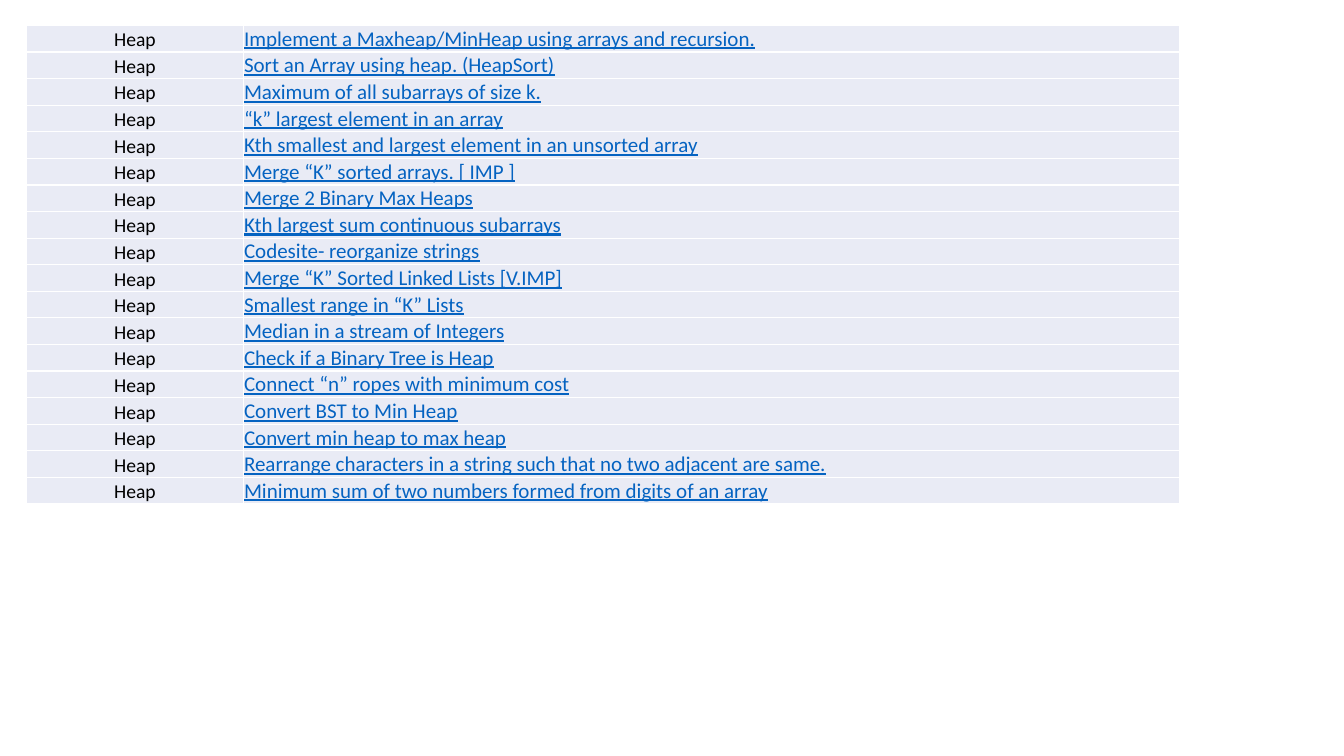
import dataclasses

import lxml.etree
import pptx
import pptx.dml.color
import pptx.enum.text
import pptx.oxml.ns
import pptx.util

Cm = pptx.util.Cm
Pt = pptx.util.Pt
RGB = pptx.dml.color.RGBColor
Align = pptx.enum.text.PP_ALIGN
qn = pptx.oxml.ns.qn


@dataclasses.dataclass(frozen=True)
class Theme:
    font: str = "Calibri"
    ink: str = "000000"
    link: str = "0563C1"
    band: str = "E9EBF5"
    rule: str = "FFFFFF"
    topic_size: int = 14
    task_size: int = 15
    rule_width: int = 1


THEME = Theme()

TOPIC = "Heap"
TASKS = [
    "Implement a Maxheap/MinHeap using arrays and recursion.",
    "Sort an Array using heap. (HeapSort)",
    "Maximum of all subarrays of size k.",
    "“k” largest element in an array",
    "Kth smallest and largest element in an unsorted array",
    "Merge “K” sorted arrays. [ IMP ]",
    "Merge 2 Binary Max Heaps",
    "Kth largest sum continuous subarrays",
    "Codesite- reorganize strings",
    "Merge “K” Sorted Linked Lists [V.IMP]",
    "Smallest range in “K” Lists",
    "Median in a stream of Integers",
    "Check if a Binary Tree is Heap",
    "Connect “n” ropes with minimum cost",
    "Convert BST to Min Heap",
    "Convert min heap to max heap",
    "Rearrange characters in a string such that no two adjacent are same.",
    "Minimum sum of two numbers formed from digits of an array",
]

# Table layout in centimetres
LEFT, TOP = 0.67, 0.64
COLS = (5.46, 23.6)
ROW = 0.67
INSET = 0.02


def add_rules(cell):
    """Draw a thin rule on each side of the cell."""
    props = cell._tc.get_or_add_tcPr()
    for side in ("lnL", "lnR", "lnT", "lnB"):
        line = lxml.etree.SubElement(
            props, qn("a:" + side), w=str(Pt(THEME.rule_width)))
        fill = lxml.etree.SubElement(line, qn("a:solidFill"))
        lxml.etree.SubElement(fill, qn("a:srgbClr"), val=THEME.rule)


def style_cell(cell):
    """Set rules, fill, insets and anchor."""
    add_rules(cell)
    cell.fill.solid()
    cell.fill.fore_color.rgb = RGB.from_string(THEME.band)
    cell.margin_left = cell.margin_right = cell.margin_top = Cm(INSET)
    cell.margin_bottom = 0
    cell.vertical_anchor = pptx.enum.text.MSO_ANCHOR.BOTTOM


def add_text(cell, text, size, color, align, under=False):
    """Write one run into the cell."""
    para = cell.text_frame.paragraphs[0]
    para.alignment = align
    run = para.add_run()
    run.text = text
    font = run.font
    font.name = THEME.font
    font.size = Pt(size)
    font.color.rgb = RGB.from_string(color)
    font.underline = under


def add_tasks(slide):
    """Build the table of topics and tasks."""
    frame = slide.shapes.add_table(
        len(TASKS), len(COLS), Cm(LEFT), Cm(TOP),
        Cm(sum(COLS)), Cm(ROW * len(TASKS)))
    table = frame.table
    table.first_row = False
    table.horz_banding = False
    for col, width in zip(table.columns, COLS):
        col.width = Cm(width)

    for row, task in zip(table.rows, TASKS):
        row.height = Cm(ROW)
        left, right = row.cells
        style_cell(left)
        style_cell(right)
        add_text(left, TOPIC, THEME.topic_size, THEME.ink, Align.CENTER)
        add_text(right, task, THEME.task_size, THEME.link, Align.LEFT, True)


def main():
    deck = pptx.Presentation()
    deck.slide_width = Cm(33.87)
    deck.slide_height = Cm(19.05)
    # Blank layout
    slide = deck.slides.add_slide(deck.slide_layouts[6])
    add_tasks(slide)
    deck.save("out.pptx")


if __name__ == "__main__":
    main()
